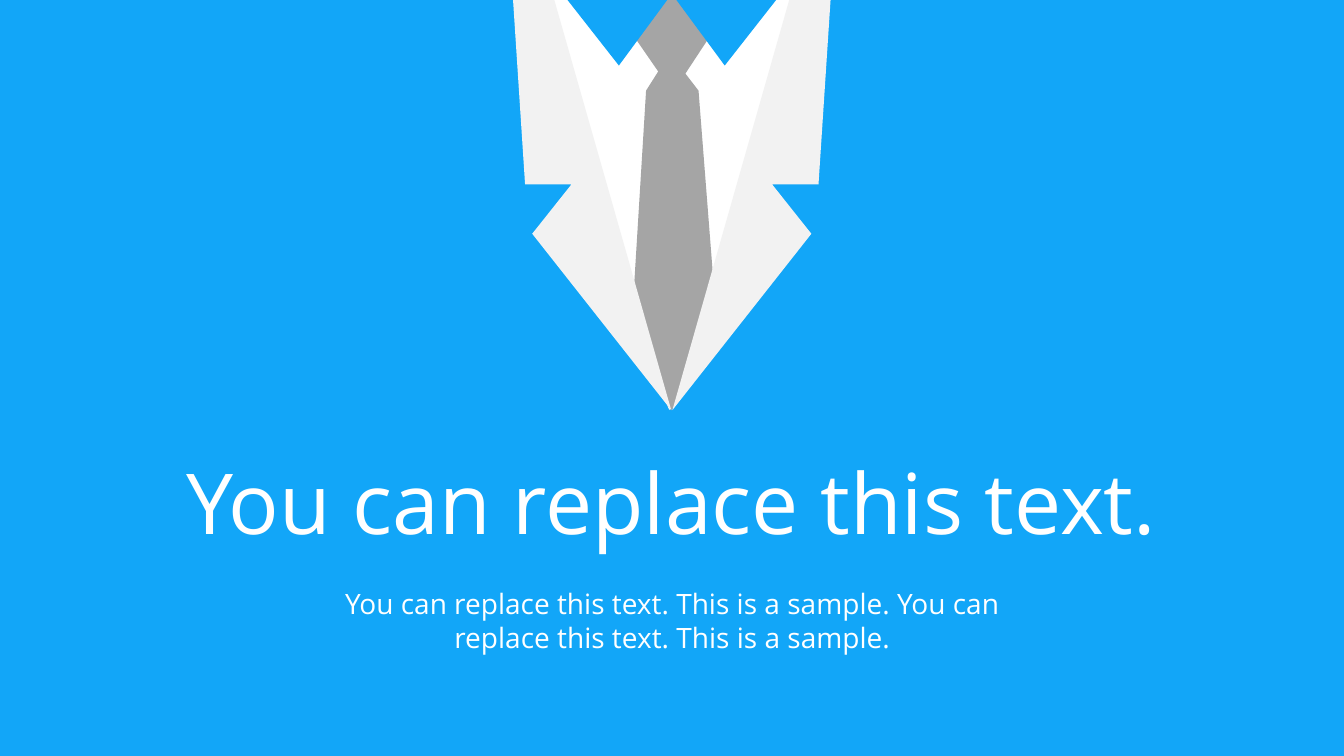
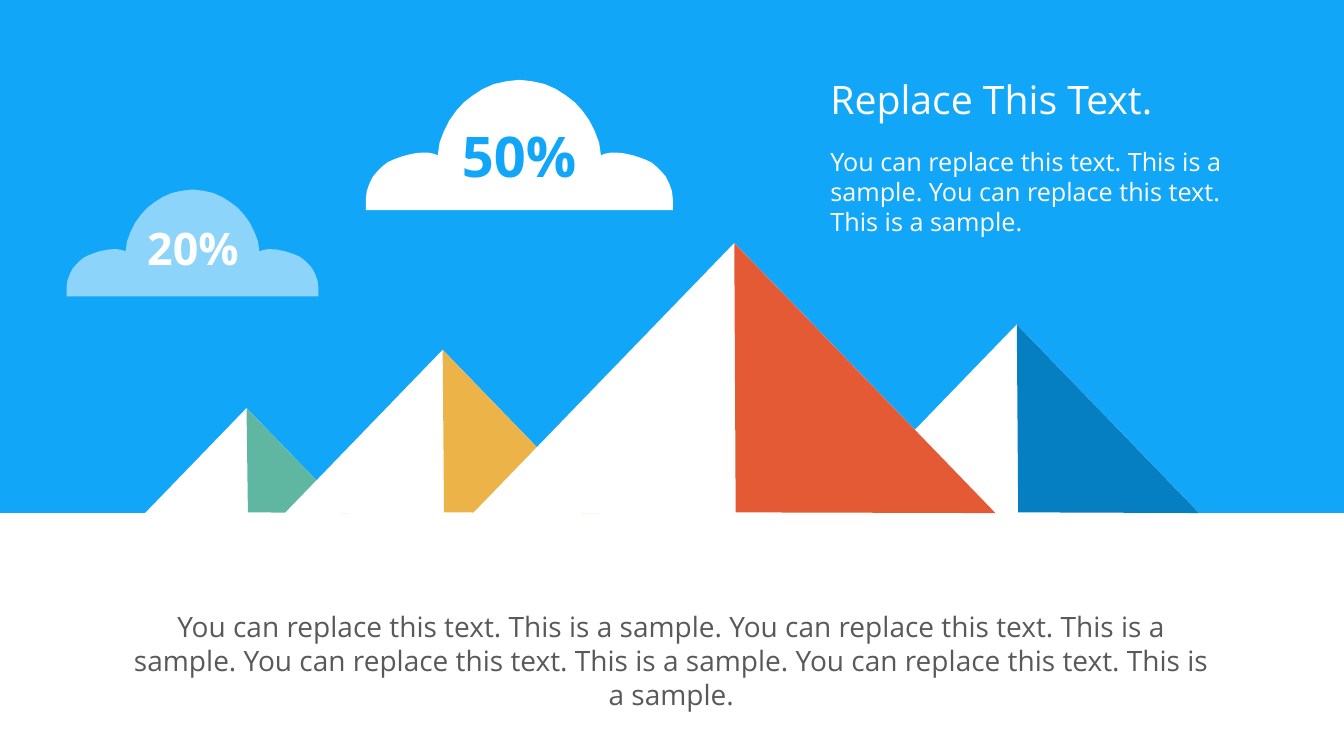
"""Build two flat slides: a suit cover and a row of peaks under clouds."""
from dataclasses import dataclass

from lxml.etree import SubElement
from pptx import Presentation
from pptx.dml.color import RGBColor
from pptx.enum.shapes import MSO_SHAPE
from pptx.enum.text import MSO_ANCHOR, MSO_AUTO_SIZE, PP_ALIGN
from pptx.oxml.ns import qn
from pptx.presentation import Presentation as Deck
from pptx.shapes.autoshape import Shape
from pptx.shapes.shapetree import GroupShapes, SlideShapes
from pptx.slide import Slide
from pptx.util import Pt

Point = tuple[float, float]
Shapes = SlideShapes | GroupShapes

FONT = "Open Sans"
SKY, WHITE, PALE, GRAY, INK = "12A6F8", "FFFFFF", "F2F2F2", "A5A5A5", "595959"
WIDE, HIGH, GROUND = 960, 540, 366.5
AXIS = 479.9
SLOPE = 0.967
SAMPLE = "You can replace this text. This is a sample."

SHIRT = [(377.3, 0), (579.6, 0), (545.8, 133.9), (478.1, 293), (416.9, 142.6)]
TIES = [
    [(478.8, 0), (524.2, 0), (489.6, 52.6), (499, 64.8), (513.4, 249.1), (479.5, 293)],
    [(434.9, 0), (479.5, 0), (479.5, 293), (450, 252.7), (461.5, 64.8), (470.2, 51.1)],
]
LAPEL = [(366.5, 0), (396, 0), (479.5, 293), (380.2, 167), (408.2, 131.8), (375.1, 131.8)]
NOTCH = [(405.4, 0), (476.6, 0), (442.1, 46.8)]
PUFF = [
    (0, 0), (9, 1), (18, 3), (26, 6.5), (33, 11), (39.5, 16), (45, 22),
    (50, 29), (54, 37), (57, 45), (58.3, 54), (60.5, 53), (62.6, 52.5),
    (65.5, 52), (69, 52), (73.4, 52.3), (77, 53), (81.4, 54), (85.7, 55.4),
    (90, 57), (94.3, 59), (98, 62), (101.5, 65.5), (104.5, 69), (107, 74),
    (109, 79.5), (109.7, 86), (109.7, 93),
]


@dataclass(frozen=True)
class Label:
    text: str
    left: float
    top: float
    width: float
    height: float
    size: float
    color: str = WHITE
    align: PP_ALIGN = PP_ALIGN.CENTER
    anchor: MSO_ANCHOR = MSO_ANCHOR.TOP
    bold: bool = False


@dataclass(frozen=True)
class Peak:
    mid: float
    top: float
    color: str


@dataclass(frozen=True)
class Cloud:
    mid: float
    top: float
    scale: float
    alpha: int
    label: Label


COVER = [
    Label(" ".join([SAMPLE] * 2), 208.8, 415.4, 542.9, 55.4, 20),
    Label("You can replace this text.", 81.4, 318.2, 796.3, 79.9, 60),
]
NOTES = [
    Label(" ".join([SAMPLE] * 4), 81.4, 432, 796.3, 79.9, 20, INK),
    Label(" ".join([SAMPLE] * 2), 586.1, 100.8, 302.4, 72.7, 18, align=PP_ALIGN.LEFT),
    Label("Replace This Text.", 586.1, 50.4, 302.4, 41, 28, align=PP_ALIGN.LEFT),
]
PEAKS = [
    Peak(726.3, 231.8, "067FC2"),
    Peak(176.1, 291.6, "5FB7A2"),
    Peak(316.2, 249.9, "ECB448"),
    Peak(524.5, 173.6, "E35A35"),
]
CLOUDS = [
    Cloud(137.5, 135.4, 0.82, 52,
          Label("20%", 85, 154.1, 105.8, 46.1, 32,
                anchor=MSO_ANCHOR.MIDDLE, bold=True)),
    Cloud(371, 57, 1, 100,
          Label("50%", 316.8, 82.8, 108, 55.4, 40, SKY,
                anchor=MSO_ANCHOR.MIDDLE, bold=True)),
]


def rgb(code: str) -> RGBColor:
    return RGBColor.from_string(code)


def paint(shape: Shape, color: str, alpha: int = 100) -> None:
    shape.shadow.inherit = False
    shape.fill.solid()
    shape.fill.fore_color.rgb = rgb(color)
    shape.line.fill.background()
    if alpha < 100:
        tint = shape.element.find(".//" + qn("a:srgbClr"))
        SubElement(tint, qn("a:alpha"), val=str(alpha * 1000))


def trace(shapes: Shapes, points: list[Point], color: str, alpha: int = 100) -> None:
    first, *rest = [(Pt(x), Pt(y)) for x, y in points]
    pen = shapes.build_freeform(*first)
    pen.add_line_segments(rest, close=True)
    paint(pen.convert_to_shape(), color, alpha)


def block(shapes: Shapes, kind: MSO_SHAPE, left: float, top: float,
          width: float, height: float, color: str) -> None:
    paint(shapes.add_shape(kind, Pt(left), Pt(top), Pt(width), Pt(height)), color)


def flip(points: list[Point], axis: float) -> list[Point]:
    return [(2 * axis - x, y) for x, y in points]


def write(slide: Slide, label: Label) -> None:
    box = slide.shapes.add_textbox(
        Pt(label.left), Pt(label.top), Pt(label.width), Pt(label.height))
    frame = box.text_frame
    frame.word_wrap = True
    frame.auto_size = MSO_AUTO_SIZE.SHAPE_TO_FIT_TEXT
    frame.vertical_anchor = label.anchor
    line = frame.paragraphs[0]
    line.text = label.text
    line.alignment = label.align
    line.font.name = FONT
    line.font.size = Pt(label.size)
    line.font.bold = label.bold
    line.font.color.rgb = rgb(label.color)


def climb(slide: Slide, peak: Peak) -> None:
    shapes = slide.shapes.add_group_shape().shapes
    rise = GROUND - peak.top
    half = SLOPE * rise
    block(shapes, MSO_SHAPE.ISOSCELES_TRIANGLE,
          peak.mid - half, peak.top, 2 * half, rise, WHITE)
    face = [(peak.mid + 1, GROUND - 0.5), (peak.mid, peak.top), (peak.mid + half, GROUND)]
    trace(shapes, face, peak.color)


def float_up(slide: Slide, cloud: Cloud) -> None:
    right = [(cloud.mid + x * cloud.scale, cloud.top + y * cloud.scale) for x, y in PUFF]
    left = flip(right, cloud.mid)[:0:-1]
    trace(slide.shapes, right + left, WHITE, cloud.alpha)
    write(slide, cloud.label)


def start(deck: Deck) -> Slide:
    slide = deck.slides.add_slide(deck.slide_layouts[6])
    fill = slide.background.fill
    fill.solid()
    fill.fore_color.rgb = rgb(SKY)
    return slide


def suit(deck: Deck) -> None:
    slide = start(deck)
    for label in COVER:
        write(slide, label)
    trace(slide.shapes, SHIRT, WHITE)
    for tie in TIES:
        trace(slide.shapes, tie, GRAY)
    for part, color in ((LAPEL, PALE), (NOTCH, SKY)):
        trace(slide.shapes, part, color)
        trace(slide.shapes, flip(part, AXIS), color)


def range_(deck: Deck) -> None:
    slide = start(deck)
    block(slide.shapes, MSO_SHAPE.RECTANGLE, 0, GROUND, WIDE, HIGH - GROUND, WHITE)
    for peak in PEAKS:
        climb(slide, peak)
    for label in NOTES:
        write(slide, label)
    for cloud in CLOUDS:
        float_up(slide, cloud)


def main() -> None:
    deck = Presentation()
    deck.slide_width, deck.slide_height = Pt(WIDE), Pt(HIGH)
    suit(deck)
    range_(deck)
    deck.save("out.pptx")


if __name__ == "__main__":
    main()
